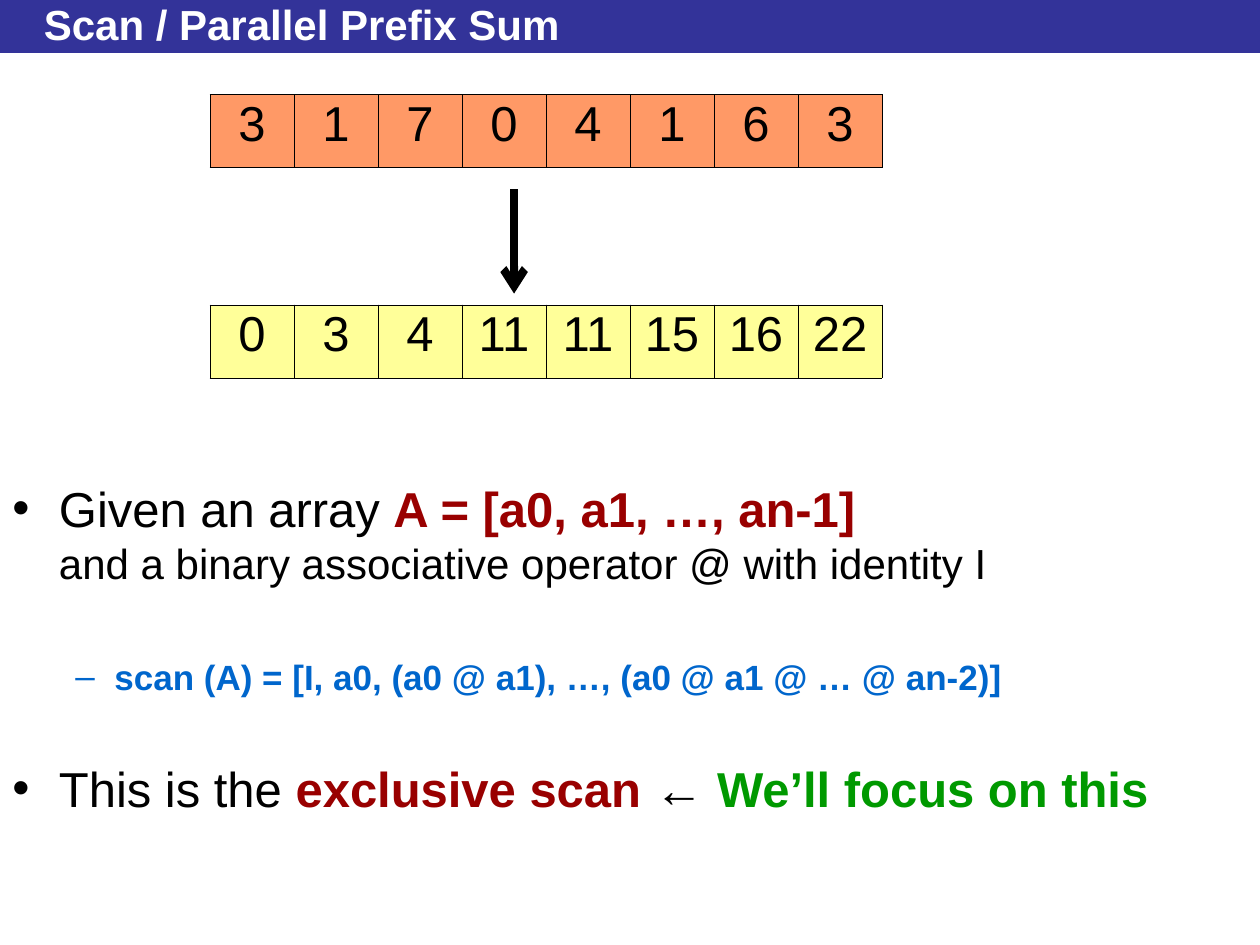
"""Build a slide that explains the exclusive scan (parallel prefix sum)."""
from lxml import etree
from pptx import Presentation
from pptx.dml.color import RGBColor
from pptx.enum import shapes, text
from pptx.oxml import ns
from pptx.util import Inches, Pt

BLACK = RGBColor(0x00, 0x00, 0x00)
WHITE = RGBColor(0xFF, 0xFF, 0xFF)
NAVY = RGBColor(0x33, 0x33, 0x99)
ORANGE = RGBColor(0xFF, 0x99, 0x66)
YELLOW = RGBColor(0xFF, 0xFF, 0x99)
RED = RGBColor(0x99, 0x00, 0x00)
BLUE = RGBColor(0x00, 0x66, 0xCC)
GREEN = RGBColor(0x00, 0x99, 0x00)
FONT = "Arial"
INPUT = (3, 1, 7, 0, 4, 1, 6, 3)
ARRAY_LEFT, CELL_WIDTH, CELL_HEIGHT = 5 / 3, 2 / 3, 0.58


def child(parent, tag, **attributes):
    """Append an XML element such as a:ln to its parent."""
    element = etree.SubElement(parent, ns.qn(tag))
    for key, value in attributes.items():
        element.set(key, str(value))
    return element


def write(paragraph, words, size=28, color=BLACK, bold=False):
    """Add one formatted run to a paragraph."""
    run = paragraph.add_run()
    run.text = words
    run.font.name, run.font.size, run.font.bold = FONT, Pt(size), bold
    run.font.color.rgb = color


def add_text_box(slide, left, top, width, height, anchor):
    """Add a wrapping text box and return its text frame."""
    frame = slide.shapes.add_textbox(
        Inches(left), Inches(top), Inches(width), Inches(height)).text_frame
    frame.word_wrap = True
    frame.vertical_anchor = anchor
    return frame


def add_title(slide, words):
    """Add the title on its coloured band."""
    band = slide.shapes.add_shape(
        shapes.MSO_SHAPE.RECTANGLE, 0, 0, Inches(10), Inches(0.42))
    band.shadow.inherit = False
    band.fill.solid()
    band.fill.fore_color.rgb = NAVY
    band.line.fill.background()
    frame = add_text_box(slide, 0.25, 0.05, 9.25, 0.28, text.MSO_ANCHOR.MIDDLE)
    write(frame.paragraphs[0], words, size=24, color=WHITE, bold=True)


def add_border(cell):
    """Draw a thin black border round a table cell."""
    properties = cell._tc.get_or_add_tcPr()
    for position, side in enumerate(("a:lnL", "a:lnR", "a:lnT", "a:lnB")):
        line = child(properties, side, w=Pt(0.5))
        child(child(line, "a:solidFill"), "a:srgbClr", val=BLACK)
        properties.insert(position, line)


def add_array_cell(slide, left, top, value, fill):
    """Add one array element as a single-cell table."""
    table = slide.shapes.add_table(
        1, 1, Inches(left), Inches(top), Inches(CELL_WIDTH), Inches(CELL_HEIGHT)).table
    table.first_row = table.horz_banding = False
    cell = table.cell(0, 0)
    cell.fill.solid()
    cell.fill.fore_color.rgb = fill
    add_border(cell)
    paragraph = cell.text_frame.paragraphs[0]
    paragraph.alignment = text.PP_ALIGN.CENTER
    paragraph.line_spacing = 0.93
    write(paragraph, str(value))


def add_array(slide, top, values, fill):
    """Lay out the elements of an array side by side."""
    for index, value in enumerate(values):
        add_array_cell(slide, ARRAY_LEFT + index * CELL_WIDTH, top, value, fill)


def add_arrow(slide, x, top, bottom):
    """Add the heavy arrow from the input array to its scan."""
    arrow = slide.shapes.add_connector(
        shapes.MSO_CONNECTOR.STRAIGHT, Inches(x), Inches(top), Inches(x), Inches(bottom))
    arrow.line.color.rgb = BLACK
    arrow.line.width = Pt(4.5)
    child(arrow.line._get_or_add_ln(), "a:tailEnd", type="arrow")
    child(arrow._element.spPr, "a:effectLst")


def set_bullet(paragraph, mark, color, margin, hanging, level=0):
    """Give a paragraph its bullet and hanging indent."""
    paragraph.level = level
    properties = paragraph._p.get_or_add_pPr()
    properties.set("marL", str(Inches(margin)))
    properties.set("indent", str(-Inches(hanging)))
    child(child(properties, "a:buClr"), "a:srgbClr", val=color)
    child(properties, "a:buFont", typeface=FONT)
    child(properties, "a:buChar", char=mark)


def add_definition(slide):
    """Add the definition of the scan as a bulleted list."""
    frame = add_text_box(slide, 0, 3.75, 10, 3.17, text.MSO_ANCHOR.TOP)

    given = frame.paragraphs[0]
    set_bullet(given, "•", BLACK, 0.37, 0.37)
    write(given, "Given an array ")
    write(given, "A = [a0, a1, …, an-1]", color=RED, bold=True)
    given.add_line_break()
    write(given, "and a binary associative operator @ with identity I", size=24)

    formula = frame.add_paragraph()
    set_bullet(formula, "–", BLUE, 0.81, 0.31, level=1)
    formula.space_before = Pt(38.5)
    write(formula, "scan (A) = [I, a0, (a0 @ a1), …, (a0 @ a1 @ … @ an-2)]",
          size=20, color=BLUE, bold=True)

    kind = frame.add_paragraph()
    set_bullet(kind, "•", BLACK, 0.37, 0.37)
    kind.space_before = Pt(35)
    write(kind, "This is the ")
    write(kind, "exclusive scan ", color=RED, bold=True)
    write(kind, "← ", bold=True)
    write(kind, "We’ll focus on this", color=GREEN, bold=True)


def main():
    """Build and save the slide."""
    deck = Presentation()
    deck.slide_width, deck.slide_height = Inches(10), Inches(7.5)
    slide = deck.slides.add_slide(deck.slide_layouts[6])
    add_title(slide, "Scan / Parallel Prefix Sum")
    add_definition(slide)
    add_array(slide, 0.75, INPUT, ORANGE)
    add_array(slide, 2.42, [sum(INPUT[:end]) for end in range(len(INPUT))], YELLOW)
    add_arrow(slide, 4.08, 1.5, 2.33)
    deck.save("out.pptx")


if __name__ == "__main__":
    main()
